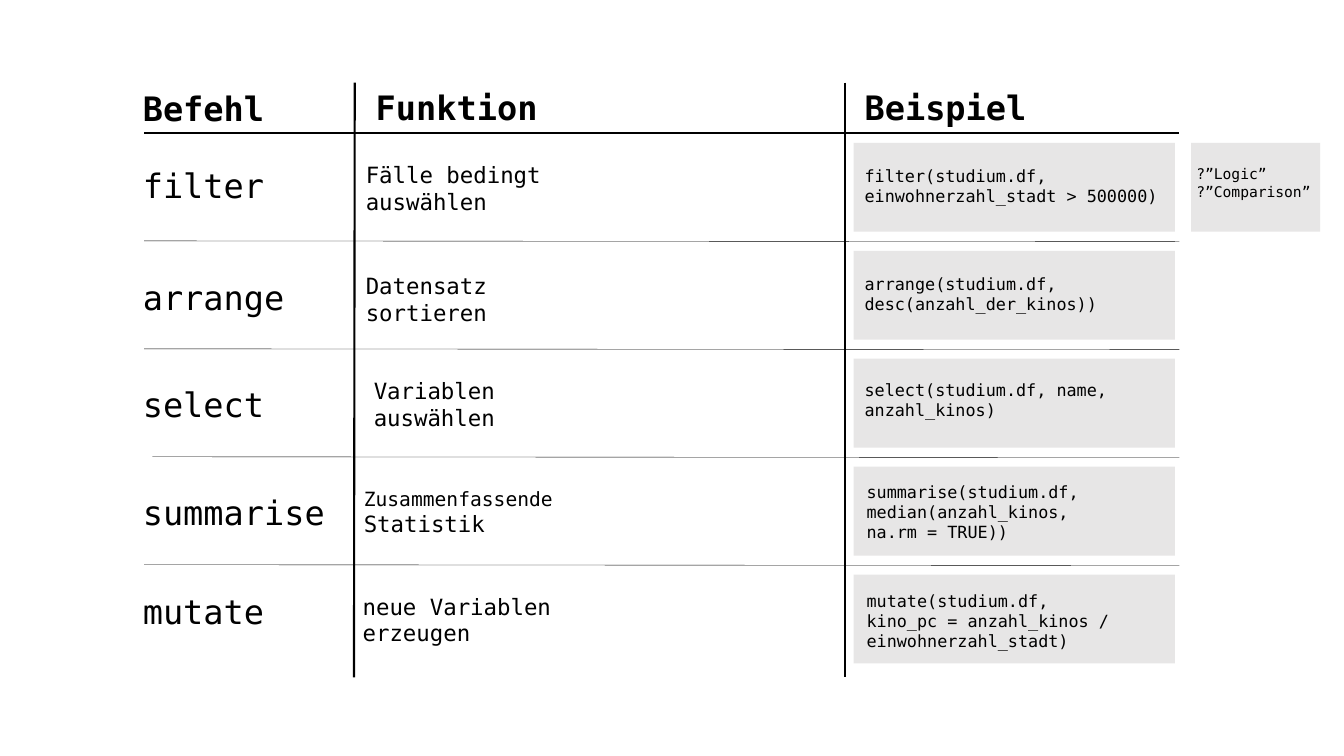
from lxml.etree import SubElement
from pptx import Presentation
from pptx.dml.color import RGBColor
from pptx.enum.shapes import MSO_CONNECTOR as Connector, MSO_SHAPE as Shape
from pptx.oxml.ns import qn
from pptx.util import Cm, Pt

BLACK = RGBColor(0x00, 0x00, 0x00)
CODE_GREY = RGBColor(0xE7, 0xE6, 0xE6)
FONT = "DejaVu Sans Mono"

ROW_PITCH = 2.72
FIRST_PANEL_TOP = 3.6
FIRST_RULE_TOP = 6.07
PANEL_HEIGHT = 2.24
COLUMN_WIDTH = 6.83
TABLE_LEFT, TABLE_RIGHT = 3.63, 29.72
TABLE_TOP, TABLE_BOTTOM = 2.08, 17.07

HEADINGS = [("Befehl", 3.35, 2.08), ("Funktion", 9.22, 2.06), ("Beispiel", 21.54, 2.06)]
COMMANDS = [
    ("filter", 4.04),
    ("arrange", 6.86),
    ("select", 9.55),
    ("summarise", 12.27),
    ("mutate", 14.76),
]
PURPOSES = [
    ([("Fälle bedingt auswählen", 16)], 8.97, 3.94),
    ([("Datensatz sortieren", 16)], 8.97, 6.73),
    ([("Variablen auswählen", 16)], 9.17, 9.37),
    ([("Zusammenfassende", 14), ("Statistik", 16)], 8.92, 12.14),
    ([("neue Variablen erzeugen", 16)], 8.89, 14.81),
]
EXAMPLES = [
    (["filter(studium.df,", "einwohnerzahl_stadt > 500000)"], 21.54, 4.04, 11.2),
    (["arrange(studium.df, desc(anzahl_der_kinos))"], 21.54, 6.78, 7.98),
    (["select(studium.df, name, anzahl_kinos)"], 21.54, 9.45, 7.98),
    (["summarise(studium.df, median(anzahl_kinos,", "na.rm = TRUE))"], 21.59, 12.01, 10.8),
    (["mutate(studium.df,", "kino_pc = anzahl_kinos / einwohnerzahl_stadt)"], 21.59, 14.76, 10.8),
]
HELP_TOPICS = ["?”Logic”", "?”Comparison”"]


def add_rule(slide, start, end, weight):
    """Draw a black line between two points."""
    rule = slide.shapes.add_connector(Connector.STRAIGHT, *map(Cm, start + end))
    rule.line.color.rgb = BLACK
    rule.line.width = Pt(weight)
    SubElement(rule._element.spPr, qn("a:effectLst"))


def add_panel(slide, left, top, width):
    """Draw a grey panel behind code."""
    panel = slide.shapes.add_shape(
        Shape.RECTANGLE, Cm(left), Cm(top), Cm(width), Cm(PANEL_HEIGHT)
    )
    panel.shadow.inherit = False
    panel.fill.solid()
    panel.fill.fore_color.rgb = CODE_GREY
    panel.line.fill.background()


def add_text(slide, lines, left, top, width, height, bold=False):
    """Write pairs of wording and point size as paragraphs."""
    frame = slide.shapes.add_textbox(Cm(left), Cm(top), Cm(width), Cm(height)).text_frame
    frame.word_wrap = True
    for index, (wording, size) in enumerate(lines):
        paragraph = frame.add_paragraph() if index else frame.paragraphs[0]
        run = paragraph.add_run()
        run.text = wording
        run.font.color.rgb = BLACK
        for attribute, value in {"name": FONT, "size": Pt(size), "bold": bold}.items():
            setattr(run.font, attribute, value)


def add_grid(slide):
    """Draw the heavy axes and the thin row rules."""
    add_rule(slide, (TABLE_LEFT, 3.35), (TABLE_RIGHT, 3.35), 1.5)
    add_rule(slide, (8.94, TABLE_TOP), (8.92, TABLE_BOTTOM), 1.5)
    add_rule(slide, (21.29, TABLE_TOP), (21.29, TABLE_BOTTOM), 1.5)
    for row, left in enumerate([TABLE_LEFT, TABLE_LEFT, 3.84, TABLE_LEFT]):
        top = FIRST_RULE_TOP + row * ROW_PITCH
        add_rule(slide, (left, top), (TABLE_RIGHT, top + 0.02), 0.25)


def main():
    """Build the overview of commands and save it."""
    deck = Presentation()
    deck.slide_width, deck.slide_height = Cm(33.87), Cm(19.05)
    slide = deck.slides.add_slide(deck.slide_layouts[6])
    add_grid(slide)
    for heading, left, top in HEADINGS:
        add_text(slide, [(heading, 24)], left, top, COLUMN_WIDTH, 1.28, bold=True)
    for command, top in COMMANDS:
        add_text(slide, [(command, 24)], 3.35, top, COLUMN_WIDTH, 1.28)
    for purpose, left, top in PURPOSES:
        add_text(slide, purpose, left, top, COLUMN_WIDTH, 1.62)
    for row, (code, left, top, width) in enumerate(EXAMPLES):
        add_panel(slide, 21.51, FIRST_PANEL_TOP + row * ROW_PITCH, 8.1)
        add_text(slide, [(line, 12) for line in code], left, top, width, 1.8)
    add_panel(slide, 30.02, FIRST_PANEL_TOP, 3.25)
    add_text(slide, [(topic, 10.5) for topic in HELP_TOPICS], 29.9, 4.04, 3.9, 1.19)
    deck.save("out.pptx")


if __name__ == "__main__":
    main()
